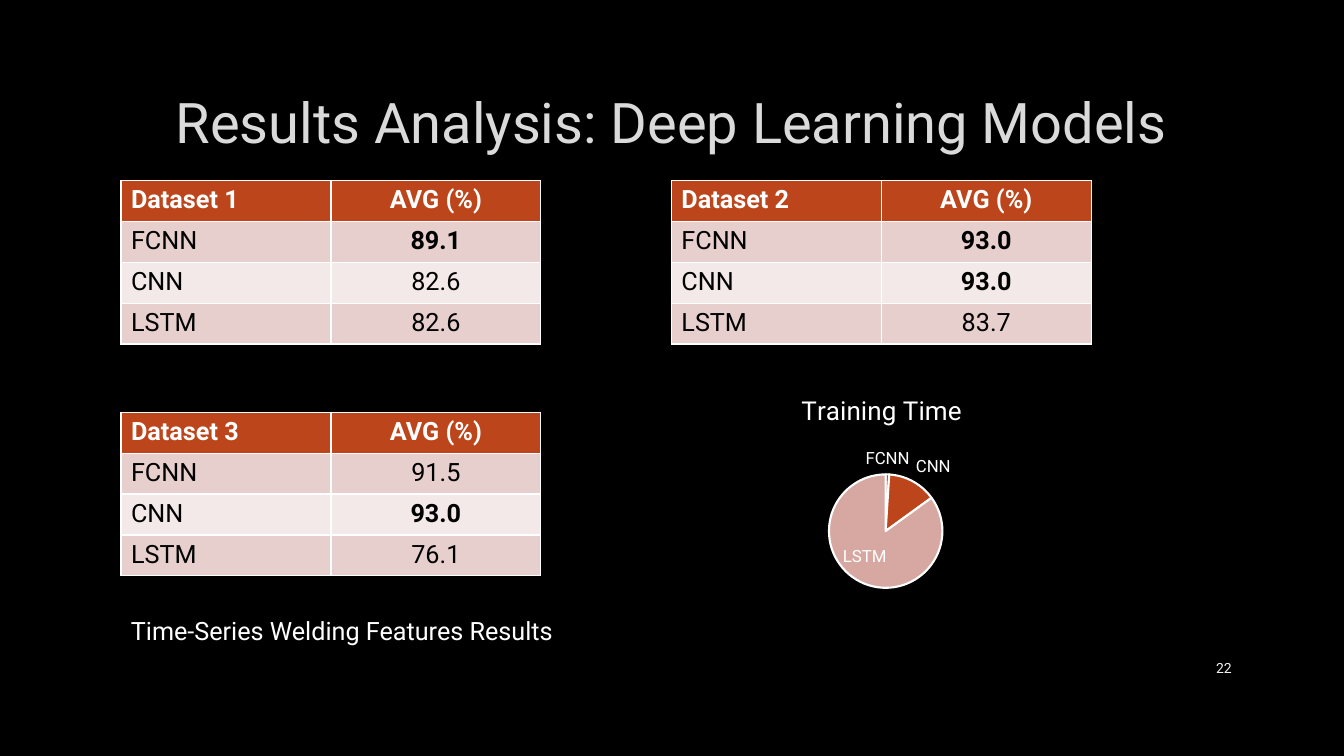
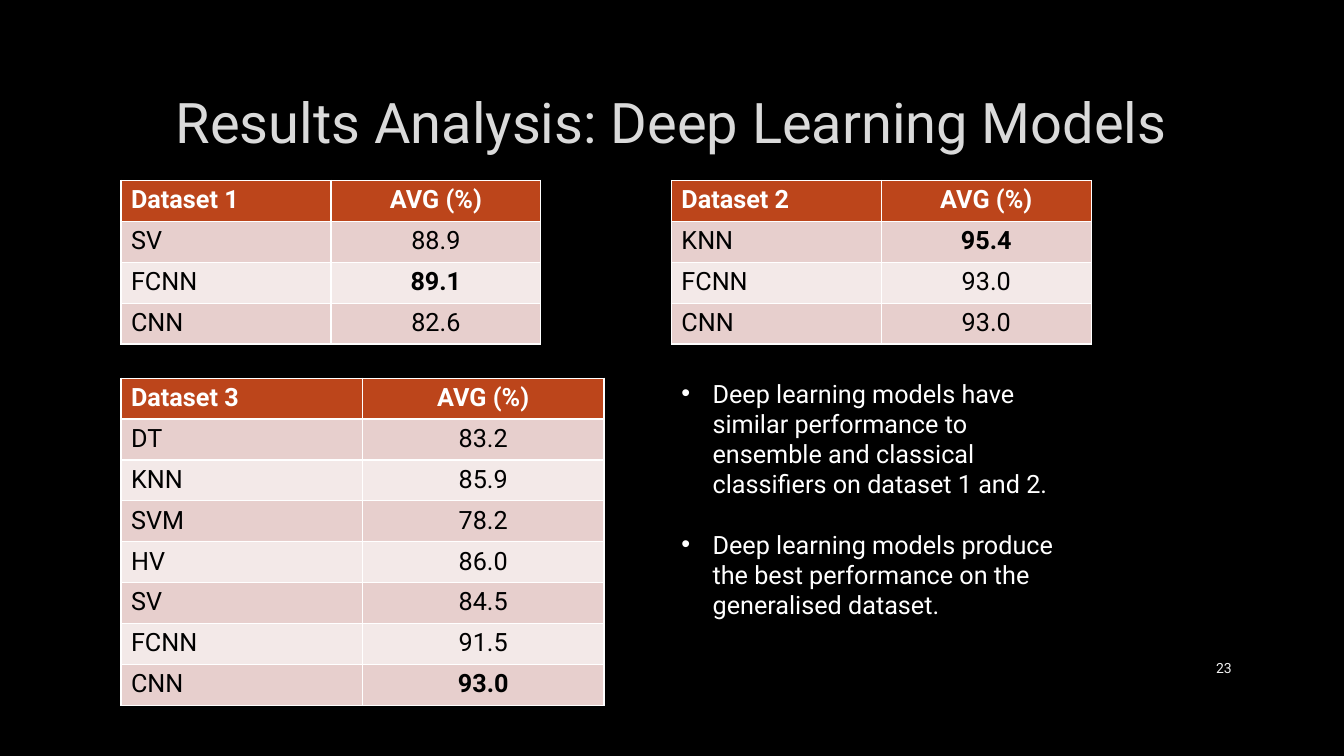
from pptx import Presentation, util as u
from pptx.chart.data import CategoryChartData
from pptx.dml.color import RGBColor
from pptx.enum import chart as ch, text
from lxml import etree

FONT = "Roboto"
WHITE, BLACK, SILVER, PALE = "FFFFFF", "000000", "DADADA", "F2F2F2"
RUST, DARK_RUST, ROSE = "BC451B", "9C3916", "D7A8A2"
BANDS = ["E7CFCD", "F3E9E8"]
LEFT, RIGHT, TOP = 3.05, 16.92, 4.55
TABLE_W, ROW_H = 10.58, 1.03


def color(value):
    return RGBColor.from_string(value)


def style(font, size, value, bold=False):
    font.name = FONT
    font.size = u.Pt(size)
    font.bold = bold
    font.color.rgb = color(value)


slides = [
    {"number": "22", "tables": [
        ("Dataset 1", LEFT, TOP, TABLE_W,
         [("FCNN", "89.1"), ("CNN", "82.6"), ("LSTM", "82.6")]),
        ("Dataset 3", LEFT, 10.39, TABLE_W,
         [("FCNN", "91.5"), ("CNN", "93.0"), ("LSTM", "76.1")]),
        ("Dataset 2", RIGHT, TOP, TABLE_W,
         [("FCNN", "93.0"), ("CNN", "93.0"), ("LSTM", "83.7")]),
    ]},
    {"number": "23", "tables": [
        ("Dataset 1", LEFT, TOP, TABLE_W,
         [("SV", "88.9"), ("FCNN", "89.1"), ("CNN", "82.6")]),
        ("Dataset 3", LEFT, 9.53, 12.17,
         [("DT", "83.2"), ("KNN", "85.9"), ("SVM", "78.2"), ("HV", "86.0"),
          ("SV", "84.5"), ("FCNN", "91.5"), ("CNN", "93.0")]),
        ("Dataset 2", RIGHT, TOP, TABLE_W,
         [("KNN", "95.4"), ("FCNN", "93.0"), ("CNN", "93.0")]),
    ]},
]

prs = Presentation()
prs.slide_width, prs.slide_height = u.Cm(33.87), u.Cm(19.05)
fill = prs.slide_master.background.fill
fill.solid()
fill.fore_color.rgb = color(BLACK)

for data in slides:
    s = prs.slides.add_slide(prs.slide_layouts[5])
    title = s.shapes.title
    title.left, title.top = u.Cm(2.54), u.Cm(1.7)
    title.width, title.height = u.Cm(28.75), u.Cm(2.69)
    tf = title.text_frame
    tf.text = "Results Analysis: Deep Learning Models"
    tf.vertical_anchor = text.MSO_ANCHOR.MIDDLE
    p = tf.paragraphs[0]
    p.alignment = text.PP_ALIGN.CENTER
    style(p.runs[0].font, 40, SILVER)

    for name, x, y, w, scores in data["tables"]:
        rows = [(name, "AVG (%)")] + scores
        best = max(score for model, score in scores)
        table = s.shapes.add_table(len(rows), 2, u.Cm(x), u.Cm(y), u.Cm(w),
                                   u.Cm(ROW_H * len(rows))).table
        for i, row in enumerate(rows):
            for j, value in enumerate(row):
                cell = table.cell(i, j)
                cell.fill.solid()
                cell.fill.fore_color.rgb = color(BANDS[(i - 1) % 2] if i else RUST)
                cell.text_frame.text = value
                p = cell.text_frame.paragraphs[0]
                p.alignment = text.PP_ALIGN.CENTER if j else text.PP_ALIGN.LEFT
                bold = i == 0 or value == best
                style(p.runs[0].font, 18, BLACK if i else WHITE, bold)

    sp = s.shapes.add_textbox(u.Cm(29.21), u.Cm(16.33), u.Cm(2.08), u.Cm(1.02))
    tf = sp.text_frame
    tf.word_wrap = True
    tf.vertical_anchor = text.MSO_ANCHOR.MIDDLE
    tf.text = data["number"]
    p = tf.paragraphs[0]
    p.alignment = text.PP_ALIGN.RIGHT
    style(p.runs[0].font, 10, PALE)

results, comparison = prs.slides

times = CategoryChartData()
times.categories = ["FCNN", "CNN", "LSTM"]
times.add_series("Training Time", [1, 14, 85])
chart = results.shapes.add_chart(ch.XL_CHART_TYPE.PIE, u.Cm(15.85), u.Cm(9.53),
                                 u.Cm(12.75), u.Cm(6.17), times).chart
style(chart.font, 10, WHITE)
chart.has_legend = False
chart.has_title = True
tf = chart.chart_title.text_frame
tf.text = "Training Time"
style(tf.paragraphs[0].runs[0].font, 18.6, WHITE)
chart.chart_title.include_in_layout = False
plot = chart.plots[0]
plot.vary_by_categories = True
for i, value in enumerate([DARK_RUST, RUST, ROSE]):
    slice_format = plot.series[0].points[i].format
    slice_format.fill.solid()
    slice_format.fill.fore_color.rgb = color(value)
    slice_format.line.color.rgb = color(WHITE)
    slice_format.line.width = u.Pt(1.5)
labels = plot.series[0].data_labels
labels.show_value = False
labels.show_category_name = True
labels.position = ch.XL_LABEL_POSITION.BEST_FIT
style(labels.font, 12, WHITE)

sp = results.shapes.add_textbox(u.Cm(LEFT), u.Cm(15.39), u.Cm(16.94), u.Cm(1.02))
tf = sp.text_frame
tf.word_wrap = True
tf.text = "Time-Series Welding Features Results"
style(tf.paragraphs[0].runs[0].font, 18, WHITE)

sp = comparison.shapes.add_textbox(u.Cm(RIGHT), u.Cm(9.4), u.Cm(TABLE_W), u.Cm(6.4))
tf = sp.text_frame
tf.word_wrap = True
findings = [
    "Deep learning models have similar performance to ensemble and classical "
    "classifiers on dataset 1 and 2.",
    "Deep learning models produce the best performance on the generalised dataset.",
]
for i, finding in enumerate(findings):
    p = tf.add_paragraph() if i else tf.paragraphs[0]
    p.text = finding
    p.space_before = u.Pt(21.5 * i)
    style(p.runs[0].font, 18, WHITE)
    pPr = p._p.get_or_add_pPr()
    pPr.set("marL", str(u.Cm(0.79)))
    pPr.set("indent", str(-u.Cm(0.79)))
    ns = pPr.nsmap["a"]
    etree.SubElement(pPr, f"{{{ns}}}buFont", typeface="Arial")
    etree.SubElement(pPr, f"{{{ns}}}buChar", char="•")

prs.save("out.pptx")
